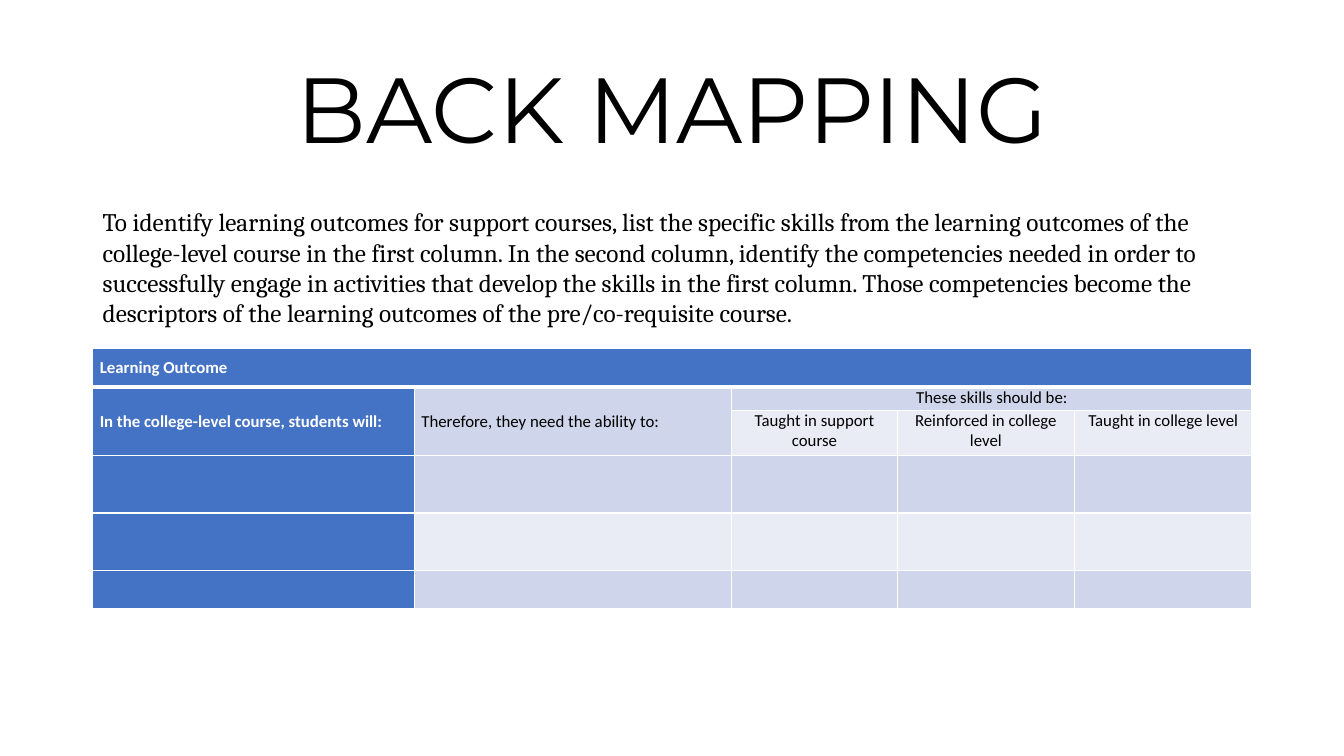
"""Build the back mapping slide with its learning outcome table."""
from lxml.etree import SubElement
from pptx import Presentation
from pptx.dml.color import RGBColor
from pptx.enum.text import MSO_ANCHOR as Anchor, MSO_AUTO_SIZE as AutoSize, PP_ALIGN as Align
from pptx.oxml.ns import qn
from pptx.util import Inches, Pt

COLORS = {"text": "000000", "white": "FFFFFF", "head": "4472C4",
          "dark_band": "CFD5EA", "light_band": "E9EBF5"}
LEFT, WIDTH = 6.9, 86.27
COLUMNS = [23.93, 23.63, 12.3, 13.2, 13.2]
ROWS = [5.07, 3.07, 6, 7.6, 7.6, 5.07]
MERGES = [((0, 0), (0, 4)), ((1, 0), (2, 0)), ((1, 1), (2, 1)), ((1, 2), (1, 4))]
LABELS = {
    (0, 0): "Learning Outcome",
    (1, 0): "In the college-level course, students will:",
    (1, 1): "Therefore, they need the ability to:",
    (1, 2): "These skills should be:",
    (2, 2): "Taught in support course",
    (2, 3): "Reinforced in college level",
    (2, 4): "Taught in college level",
}
INTRO = (
    "To identify learning outcomes for support courses, list the specific skills from the "
    "learning outcomes of the college-level course in the first column. In the second column, "
    "identify the competencies needed in order to successfully engage in activities that develop "
    "the skills in the first column. Those competencies become the descriptors of the learning "
    "outcomes of the pre/co-requisite course."
)


def apply(target, values):
    """Set each attribute named in values on the target."""
    for name, value in values.items():
        setattr(target, name, value)


class SlideBuilder:
    """Place styled elements by percent of the slide's size."""

    def __init__(self, presentation):
        """Open a title-only slide."""
        self.size = presentation.slide_width, presentation.slide_height
        self.slide = presentation.slides.add_slide(presentation.slide_layouts[5])

    def across(self, percent):
        """Turn a share of the slide's width into a length."""
        return round(self.size[0] * percent / 100)

    def down(self, percent):
        """Turn a share of the slide's height into a length."""
        return round(self.size[1] * percent / 100)

    def box(self, top, height):
        """Return a full-width content box."""
        return self.across(LEFT), self.down(top), self.across(WIDTH), self.down(height)

    def fill_text(self, frame, text, font, color="text", **layout):
        """Fill a text frame with one formatted paragraph."""
        paragraph = frame.paragraphs[0]
        apply(paragraph, layout)
        run = paragraph.add_run()
        run.text = text
        apply(run.font, font)
        run.font.color.rgb = RGBColor.from_string(COLORS[color])

    def title(self, text, top, height):
        """Format the title placeholder."""
        shape = self.slide.shapes.title
        apply(shape, dict(zip(("left", "top", "width", "height"), self.box(top, height))))
        apply(shape.text_frame, {"vertical_anchor": Anchor.MIDDLE, "word_wrap": True,
                                 "auto_size": AutoSize.NONE})
        self.fill_text(shape.text_frame, text, {"name": "Montserrat", "size": Pt(66)},
                       alignment=Align.CENTER, line_spacing=0.9)

    def text(self, text, top, height):
        """Add a wrapped body text box."""
        frame = self.slide.shapes.add_textbox(*self.box(top, height)).text_frame
        apply(frame, {"word_wrap": True, "auto_size": AutoSize.SHAPE_TO_FIT_TEXT})
        self.fill_text(frame, text, {"name": "Cambria", "size": Pt(18)})

    def borders(self, cell, row):
        """Draw white cell borders, thicker under the heading row."""
        properties = cell._tc.get_or_add_tcPr()
        for index, side in enumerate("LRTB"):
            heavy = (row, side) in ((0, "B"), (1, "T"))
            line = SubElement(properties, qn(f"a:ln{side}"), w=str(Pt(3 if heavy else 1)))
            fill = SubElement(line, qn("a:solidFill"))
            SubElement(fill, qn("a:srgbClr"), val=COLORS["white"])
            properties.insert(index, line)

    def cell(self, cell, row, column):
        """Style one cell and add its label."""
        head = row == 0 or column == 0
        band = "head" if head else "dark_band" if row % 2 else "light_band"
        apply(cell, {"margin_left": Inches(0.07), "margin_right": Inches(0.07),
                     "margin_top": 0, "margin_bottom": 0,
                     "vertical_anchor": Anchor.MIDDLE if head or column == 1 else Anchor.TOP})
        cell.fill.solid()
        cell.fill.fore_color.rgb = RGBColor.from_string(COLORS[band])
        self.borders(cell, row)
        cell.text_frame.paragraphs[0].font.size = Pt(12)
        if (row, column) in LABELS:
            self.fill_text(cell.text_frame, LABELS[row, column],
                           {"name": "Calibri", "size": Pt(12), "bold": head},
                           "white" if head else "text",
                           alignment=Align.CENTER if column > 1 else Align.LEFT,
                           space_before=Pt(6), space_after=Pt(6))

    def table(self, top):
        """Add the mapping table."""
        frame = self.slide.shapes.add_table(len(ROWS), len(COLUMNS), *self.box(top, sum(ROWS)))
        table = frame.table
        apply(table, {"first_row": False, "horz_banding": False})
        for column, share in zip(table.columns, COLUMNS):
            column.width = self.across(share)
        for row, share in zip(table.rows, ROWS):
            row.height = self.down(share)
        for row in range(len(ROWS)):
            for column in range(len(COLUMNS)):
                self.cell(table.cell(row, column), row, column)
        for start, end in MERGES:
            table.cell(*start).merge(table.cell(*end))


def main():
    """Build and save the presentation."""
    presentation = Presentation()
    apply(presentation, {"slide_width": Inches(13.33), "slide_height": Inches(7.5)})
    builder = SlideBuilder(presentation)
    builder.title("BACK MAPPING", 5.33, 19.33)
    builder.table(46.13)
    builder.text(INTRO, 26.67, 25.6)
    presentation.save("out.pptx")


if __name__ == "__main__":
    main()
